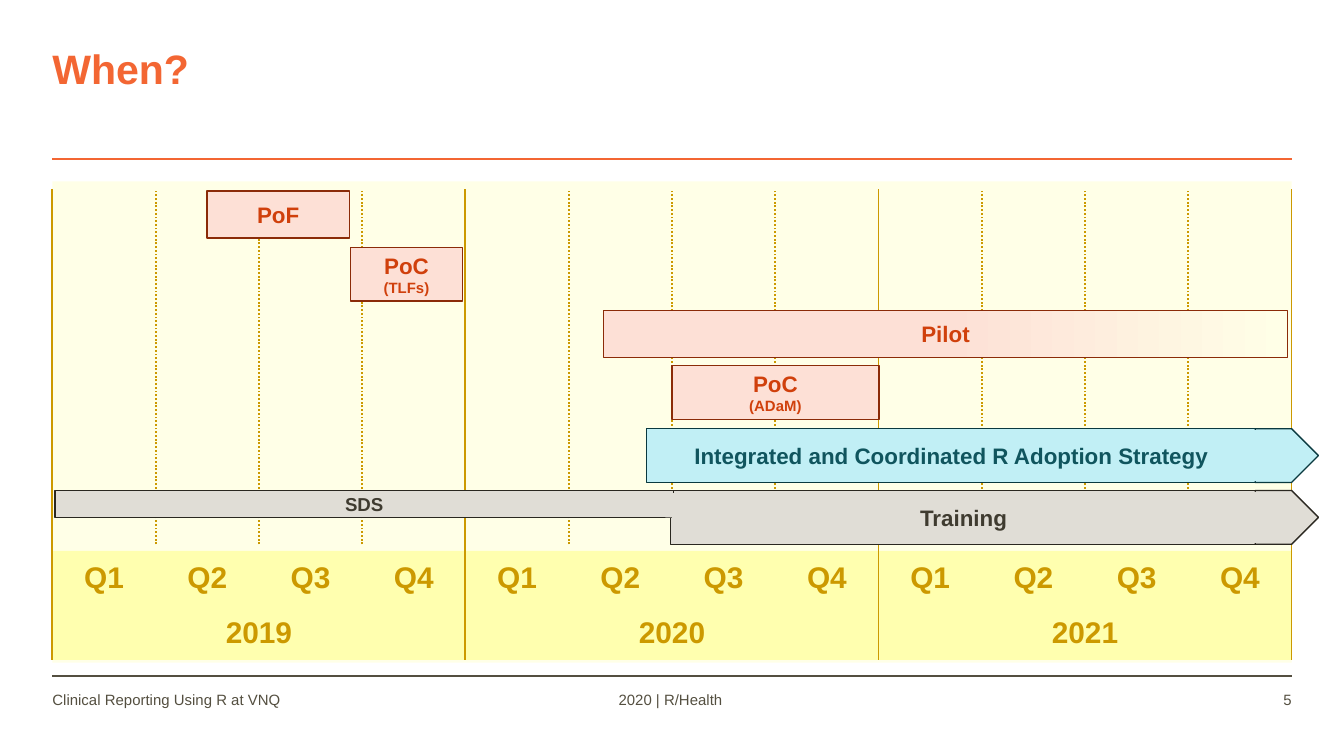
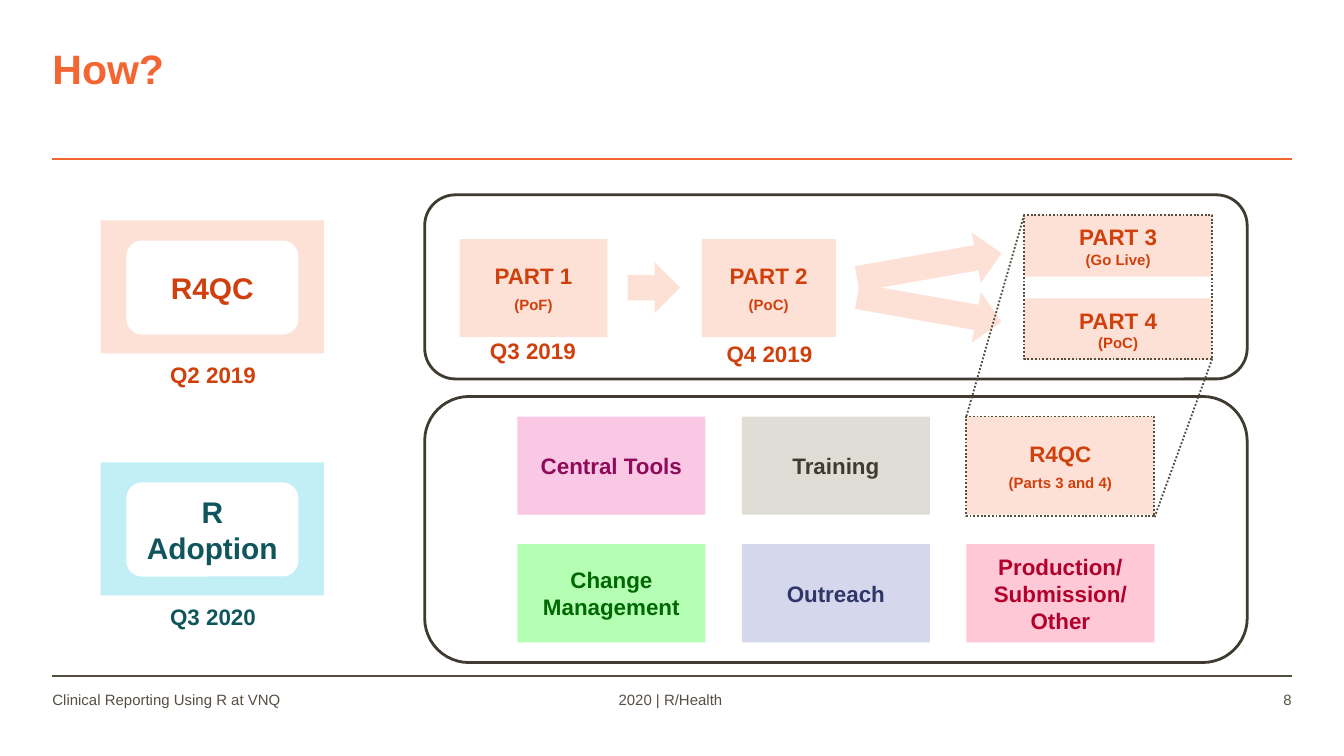
from dataclasses import dataclass
from lxml.etree import SubElement as add_sub
from pptx import Presentation
from pptx.dml.color import RGBColor as Rgb
from pptx.enum.dml import MSO_LINE_DASH_STYLE as Dash
from pptx.enum.shapes import MSO_CONNECTOR as Conn, MSO_SHAPE as Form
from pptx.enum.text import MSO_ANCHOR as Anchor, PP_ALIGN as Align
from pptx.oxml.ns import qn
from pptx.util import Inches, Pt


@dataclass(frozen=True)
class Theme:
    font: str = "Arial"
    white: str = "FFFFFF"
    brand: str = "F36633"
    foot: str = "544F40"
    dots: str = "534E3E"
    cream: str = "FFFFE7"
    lemon: str = "FFFFAF"
    gold: str = "CC9900"
    peach: str = "FDE0D6"
    rust: str = "D0400C"
    brick: str = "8B2B08"
    aqua: str = "C1EFF5"
    teal: str = "10555E"
    deep: str = "0A393F"
    stone: str = "E0DDD6"
    earth: str = "3F3B30"
    coal: str = "2A2720"
    pink: str = "FAC7E5"
    plum: str = "8D0C59"
    mint: str = "B5FFB5"
    green: str = "006800"
    mist: str = "D5D7EC"
    navy: str = "30366A"
    rose: str = "FFC8D6"
    wine: str = "B2002D"
    title: int = 22
    large: int = 16
    body: int = 12
    mid: int = 10
    small: int = 8


T = Theme()
WIDE, HIGH = 10, 5.625
UNIT = Inches(WIDE / 100)
LEFT, RIGHT = 3.9, 96.1
SPAN = RIGHT - LEFT


def box(slide, at, fill=None, ink=None, rows=(), form=Form.RECTANGLE, edge=None,
        width=0.75, dash=None, align=Align.CENTER, anchor=Anchor.MIDDLE,
        pad=0.8, bold=True, gap=0):
    place = [round(n * UNIT) for n in at]
    if form is None:
        shape = slide.shapes.add_textbox(*place)
    else:
        shape = slide.shapes.add_shape(form, *place)
        shape.shadow.inherit = False
        if fill:
            shape.fill.solid()
            shape.fill.fore_color.rgb = Rgb.from_string(fill)
        else:
            shape.fill.background()
        if edge:
            shape.line.color.rgb = Rgb.from_string(edge)
            shape.line.width = Pt(width)
            shape.line.dash_style = dash
        else:
            shape.line.fill.background()
    frame = shape.text_frame
    frame.word_wrap = True
    frame.vertical_anchor = anchor
    frame.margin_left = frame.margin_right = round(pad * UNIT)
    frame.margin_top = frame.margin_bottom = round(pad * UNIT)
    for i, (text, size) in enumerate(rows):
        para = frame.add_paragraph() if i else frame.paragraphs[0]
        para.alignment = align
        if i and gap:
            para.space_before = Pt(gap)
        for j, part in enumerate(text.split("\n")):
            if j:
                para.add_line_break()
            run = para.add_run()
            run.text = part
            run.font.name = T.font
            run.font.size = Pt(size)
            run.font.bold = bold
            run.font.color.rgb = Rgb.from_string(ink)
    return shape


def rule(slide, ends, ink, dash=None):
    line = slide.shapes.add_connector(Conn.STRAIGHT, *[round(n * UNIT) for n in ends])
    line.line.color.rgb = Rgb.from_string(ink)
    line.line.width = Pt(1)
    line.line.dash_style = dash
    add_sub(line._element.spPr, qn("a:effectLst"))


deck = Presentation()
deck.slide_width, deck.slide_height = Inches(WIDE), Inches(HIGH)
pages = []
for head, page in [("When?", "5"), ("How?", "8")]:
    slide = deck.slides.add_slide(deck.slide_layouts[6])
    pages.append(slide)
    rule(slide, (LEFT, 50.3, RIGHT, 50.3), T.foot)
    rule(slide, (LEFT, 11.8, RIGHT, 11.8), T.brand)
    box(slide, (LEFT, 3.2, 82.9, 3.7), None, T.brand, [(head, T.title)], None,
        align=Align.LEFT, anchor=Anchor.TOP, pad=0)
    for x, w, text, align in [
        (87, 9.1, page, Align.RIGHT),
        (32.6, 34.6, "2020 | R/Health", Align.CENTER),
        (LEFT, 28.1, "Clinical Reporting Using R at VNQ", Align.LEFT),
    ]:
        box(slide, (x, 51.4, w, 3), None, T.foot, [(text, T.small)], None,
            align=align, anchor=Anchor.TOP, pad=0, bold=False)
when, how = pages

COL = SPAN / 12
BASE, TOP, END = 41, 14.1, 49.1
box(when, (LEFT, 13.5, SPAN, 35.8), T.cream)
for i in range(3):
    box(when, (LEFT + 4 * i * COL, BASE, 4 * COL, END - BASE), T.lemon, T.gold,
        [(str(2019 + i), T.large)], anchor=Anchor.BOTTOM)
for i in range(12):
    box(when, (LEFT + i * COL, BASE, COL, 4), T.lemon, T.gold,
        [(f"Q{i % 4 + 1}", T.large)], anchor=Anchor.BOTTOM)
for i in range(13):
    x = LEFT + i * COL
    if i % 4:
        rule(when, (x, 40.5, x, TOP), T.gold, Dash.ROUND_DOT)
    else:
        rule(when, (x, END, x, TOP), T.gold)

for at, rows in [
    ((15.4, 14.2, 10.6, 3.5), [("PoF", T.body)]),
    ((26.1, 18.4, 8.3, 4), [("PoC", T.body), ("(TLFs)", T.small)]),
    ((44.9, 23.1, 50.9, 3.5), [("Pilot", T.body)]),
    ((50, 27.2, 15.4, 4), [("PoC", T.body), ("(ADaM)", T.small)]),
]:
    bar = box(when, at, T.peach, T.rust, rows, edge=T.brick)
    if rows[0][0] == "Pilot":
        bar.fill.gradient()
        bar.fill.gradient_angle = 0
        for stop, spot, tint in zip(bar.fill.gradient_stops, (0.5, 1), (T.peach, T.cream)):
            stop.position = spot
            stop.color.rgb = Rgb.from_string(tint)

for x, y, text, fill, ink, edge in [
    (48.1, 31.9, "Integrated and Coordinated R Adoption Strategy", T.aqua, T.teal, T.deep),
    (49.9, 36.5, "Training", T.stone, T.earth, T.coal),
]:
    box(when, (x, y, 93.5 - x, 4), fill, ink, [(text, T.body)], edge=edge)
    box(when, (93.4, y, 4.7, 4), fill, form=Form.PENTAGON, edge=edge)
    box(when, (92.8, y + 0.1, 0.9, 3.8), fill)
box(when, (4.1, 36.5, 46, 2), T.stone, T.earth, [("SDS", T.mid)], edge=T.coal)
for at in [(49.5, 36.7, 0.8, 1.8), (50, 37.8, 0.8, 1.9)]:
    box(when, at, T.stone)

for y, text, date, fill, ink in [
    (16.4, "R4QC", "Q2 2019", T.peach, T.rust),
    (34.4, "R Adoption", "Q3 2020", T.aqua, T.teal),
]:
    box(how, (7.5, y, 16.6, 9.9), fill)
    box(how, (9.4, y + 1.5, 12.8, 7), T.white, ink, [(text, T.large)], Form.ROUNDED_RECTANGLE)
    box(how, (11.6, y + 9.95, 8.5, 3), None, ink, [(date, T.body)], None)

for y, h in [(14.5, 13.7), (29.5, 19.8)]:
    box(how, (31.6, y, 61.2, h), form=Form.ROUNDED_RECTANGLE, edge=T.earth, width=1.5)

for x, y, w, h, text, note, gap in [
    (34.2, 17.8, 11, 7.3, "PART 1", "(PoF)", 3.5),
    (52.2, 17.8, 10, 7.3, "PART 2", "(PoC)", 3.5),
    (76.2, 16, 14, 4.6, "PART 3", "(Go Live)", 0),
    (76.2, 22.2, 14, 4.6, "PART 4", "(PoC)", 0),
]:
    box(how, (x, y, w, h), T.peach, T.rust, [(text, T.body), (note, T.small)], gap=gap)
for x, y, date in [(35.4, 24.6, "Q3 2019"), (53, 24.8, "Q4 2019")]:
    box(how, (x, y, 8.5, 3), None, T.rust, [(date, T.body)], None)
for x, y, w, turn in [(46.7, 19.5, 3.9, 0), (63.7, 17.9, 10.9, 350), (63.7, 21.1, 10.9, 10)]:
    box(how, (x, y, w, 3.8), T.peach, form=Form.RIGHT_ARROW).rotation = turn

for i, (fill, ink, rows) in enumerate([
    (T.pink, T.plum, [("Central Tools", T.body)]),
    (T.stone, T.earth, [("Training", T.body)]),
    (T.peach, T.rust, [("R4QC", T.body), ("(Parts 3 and 4)", T.small)]),
    (T.mint, T.green, [("Change Management", T.body)]),
    (T.mist, T.navy, [("Outreach", T.body)]),
    (T.rose, T.wine, [("Production/\nSubmission/", T.body), ("Other", T.body)]),
]):
    box(how, (38.5 + i % 3 * 16.7, 31 + i // 3 * 9.5, 14, 7.3), fill, ink, rows,
        gap=3.5 if fill == T.peach else 0)

for ends in [(76.2, 16, 71.9, 31), (90.2, 26.7, 85.9, 38.5)]:
    rule(how, ends, T.dots, Dash.ROUND_DOT)
for at in [(76.2, 16, 14, 10.7), (71.9, 31, 14, 7.4)]:
    box(how, at, edge=T.dots, width=1, dash=Dash.ROUND_DOT)

deck.save("out.pptx")
